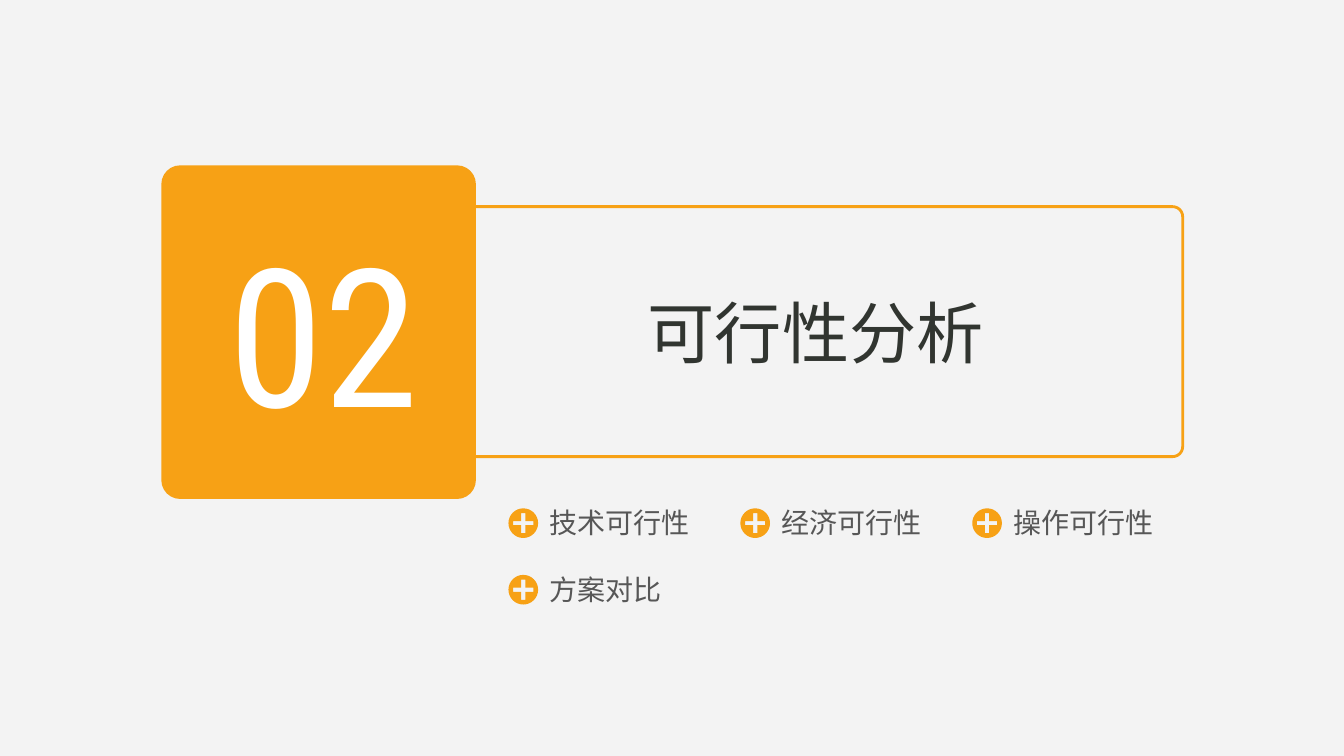
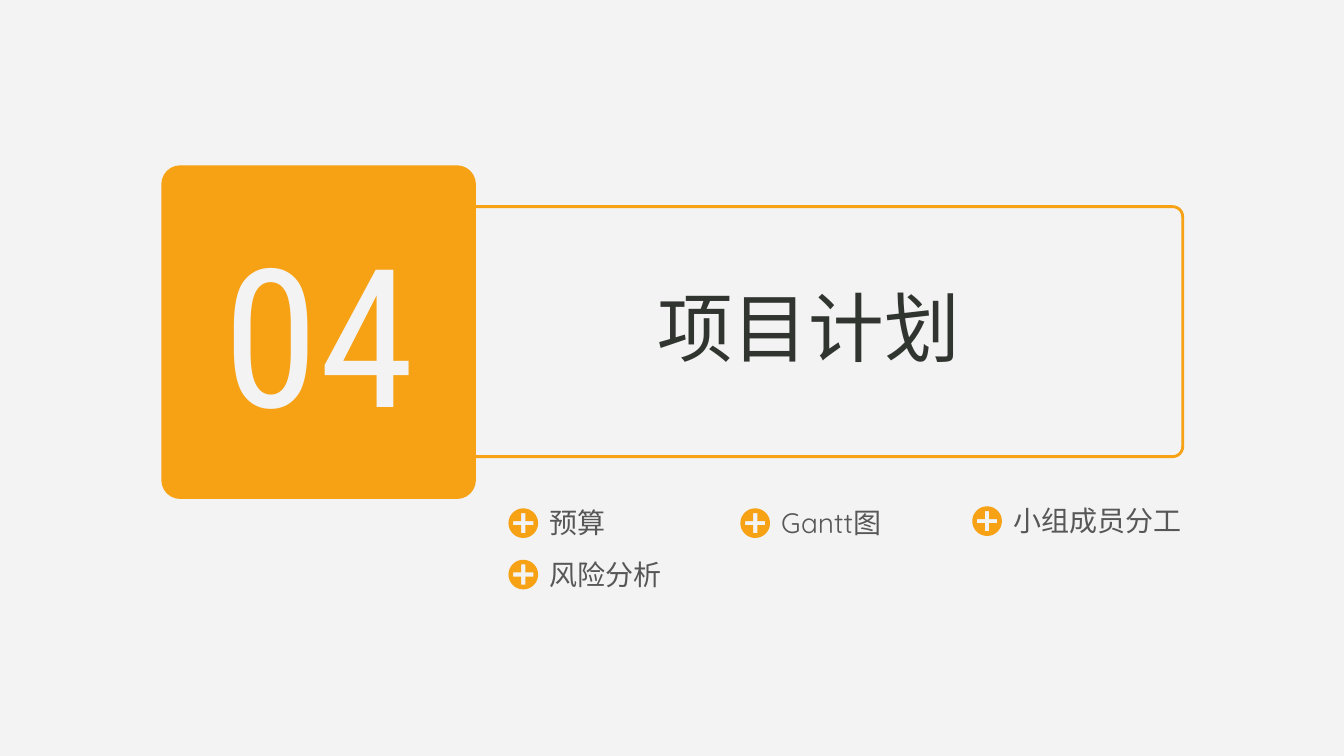
from dataclasses import dataclass
from itertools import pairwise

from lxml import etree
from pptx import Presentation
from pptx import util as u
from pptx.dml.color import RGBColor
from pptx.enum import shapes, text
from pptx.oxml import ns

PX = u.Inches(1) / 100


@dataclass(frozen=True)
class Theme:
    paper: str = "F3F3F3"
    accent: str = "F7A115"
    white: str = "FFFFFF"
    title: str = "313530"
    body: str = "575757"
    number_font: str = "Roboto Condensed"
    body_font: str = "Quicksand"
    chinese_font: str = "Noto Sans CJK SC"
    number_size: float = 137.9
    body_size: int = 20
    frame_line: int = 2


THEME = Theme()
LEFT, CENTER = text.PP_ALIGN.LEFT, text.PP_ALIGN.CENTER

FRAME = (445, 205, 728, 248)
TILE = (160, 164, 312, 331)
TOPIC_LEFT, TOPIC_STEP = 535, 230
TOPIC_WIDTH, TOPIC_HEIGHT = 197, 44

# Each topic is its wording, column and top.
SECTIONS = [
    {
        "number": "02",
        "number_box": (217, 208, 221, 242),
        "number_align": LEFT,
        "number_color": THEME.white,
        "title": "可行性分析",
        "title_box": (492, 284, 634, 91),
        "title_size": 48,
        "topics": [
            ("技术可行性", 0, 497),
            ("经济可行性", 1, 497),
            ("操作可行性", 2, 497),
            ("方案对比", 0, 563),
        ],
    },
    {
        "number": "04",
        "number_box": (206, 208, 221, 242),
        "number_align": CENTER,
        "number_color": THEME.paper,
        "title": "项目计划",
        "title_box": (485, 274, 634, 101),
        "title_size": 54,
        "topics": [
            ("预算", 0, 497),
            ("Gantt图", 1, 497),
            ("小组成员分工", 2, 495),
            ("风险分析", 0, 548),
        ],
    },
]


def px(value):
    return u.Emu(round(value * PX))


def color(value):
    return RGBColor.from_string(value)


def paint(shape, fill=None, line=None):
    shape.shadow.inherit = False
    if fill:
        shape.fill.solid()
        shape.fill.fore_color.rgb = color(fill)
    else:
        shape.fill.background()
    if line:
        shape.line.color.rgb = color(line)
        shape.line.width = u.Pt(THEME.frame_line)
    else:
        shape.line.fill.background()


def add_rounded(parent, place, radius, **style):
    shape = parent.add_shape(
        shapes.MSO_SHAPE.ROUNDED_RECTANGLE, *map(px, place))
    shape.adjustments[0] = radius
    paint(shape, **style)


def add_text(parent, place, wording, font, size, ink, align=LEFT, wrap=True):
    box = parent.add_textbox(*map(px, place))
    frame = box.text_frame
    frame.text = wording
    frame.word_wrap = wrap
    frame.auto_size = text.MSO_AUTO_SIZE.SHAPE_TO_FIT_TEXT
    para = frame.paragraphs[0]
    para.alignment = align
    span = para.runs[0]
    span.font.name = font
    span.font.size = u.Pt(size)
    span.font.color.rgb = color(ink)
    east_asian = etree.Element(ns.qn("a:ea"), typeface=THEME.chinese_font)
    span.font._element.find(ns.qn("a:latin")).addnext(east_asian)


def bend_to_circle(shape, corners, radius):
    """Turn the first straight sides, between corners, into quarter arcs."""
    bend = 0.55
    sides = list(shape._element.iter(ns.qn("a:lnTo")))
    for side, ((x1, y1), (x2, y2)) in zip(sides, pairwise(corners)):
        side.tag = ns.qn("a:cubicBezTo")
        controls = [(x1 + bend * x2, y1 + bend * y2),
                    (x2 + bend * x1, y2 + bend * y1)]
        for index, (x, y) in enumerate(controls):
            point = etree.Element(ns.qn("a:pt"), x=str(round(x + radius)),
                                  y=str(round(y + radius)))
            side.insert(index, point)


def add_plus_disc(parent, center_x, center_y):
    """Draw a disc with a plus cut out, in tenths of a px around its centre."""
    radius, arm, half = 147, 100, 21
    corners = [(0, -radius), (radius, 0), (0, radius), (-radius, 0),
               (0, -radius)]
    quarter = [(half, arm), (half, half), (arm, half)]
    plus = []
    for _ in range(4):
        plus += quarter
        quarter = [(y, -x) for x, y in quarter]
    outline = parent.build_freeform(*corners[0], scale=PX / 10)
    outline.add_line_segments(corners[1:], close=True)
    outline.move_to(*plus[0])
    outline.add_line_segments(plus[1:], close=True)
    disc = outline.convert_to_shape(px(center_x), px(center_y))
    bend_to_circle(disc, corners, radius)
    paint(disc, fill=THEME.accent)


def add_topic(parent, wording, column, top):
    left = TOPIC_LEFT + column * TOPIC_STEP
    add_text(parent, (left, top, TOPIC_WIDTH, TOPIC_HEIGHT), wording,
             THEME.body_font, THEME.body_size, THEME.body)
    add_plus_disc(parent, left - 16, top + TOPIC_HEIGHT / 2)


def add_section(deck, section):
    page = deck.slides.add_slide(deck.slide_layouts[6])
    page.background.fill.solid()
    page.background.fill.fore_color.rgb = color(THEME.paper)

    add_rounded(page.shapes, FRAME, 0.04, line=THEME.accent)
    badge = page.shapes.add_group_shape().shapes
    add_rounded(badge, TILE, 0.06, fill=THEME.accent)
    add_text(badge, section["number_box"], section["number"],
             THEME.number_font, THEME.number_size, section["number_color"],
             section["number_align"], wrap=False)
    add_text(page.shapes, section["title_box"], section["title"],
             THEME.chinese_font, section["title_size"], THEME.title, CENTER)
    for topic in section["topics"]:
        add_topic(page.shapes, *topic)


def main():
    deck = Presentation()
    deck.slide_width, deck.slide_height = px(1333), px(750)
    for section in SECTIONS:
        add_section(deck, section)
    deck.save("out.pptx")


if __name__ == "__main__":
    main()
